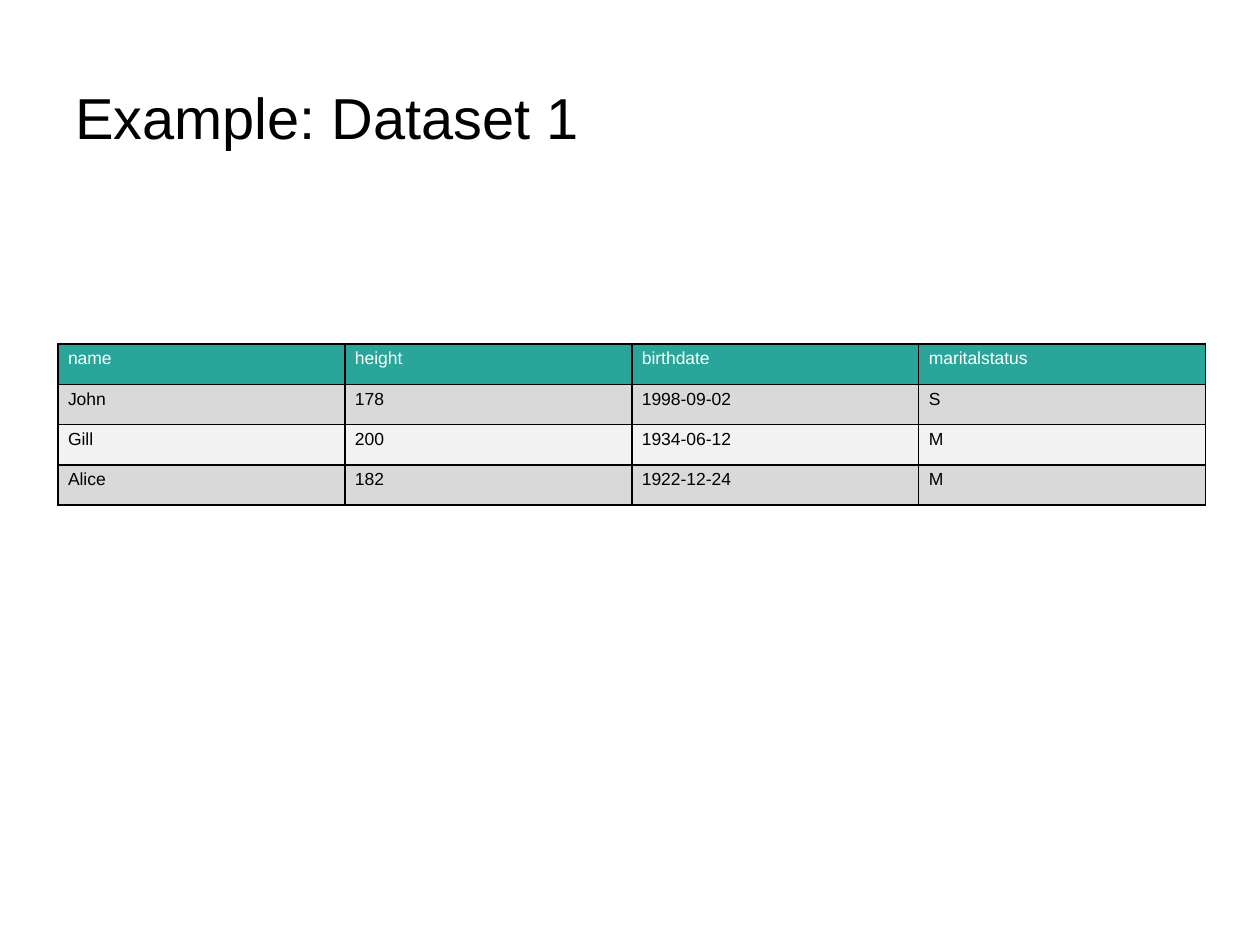
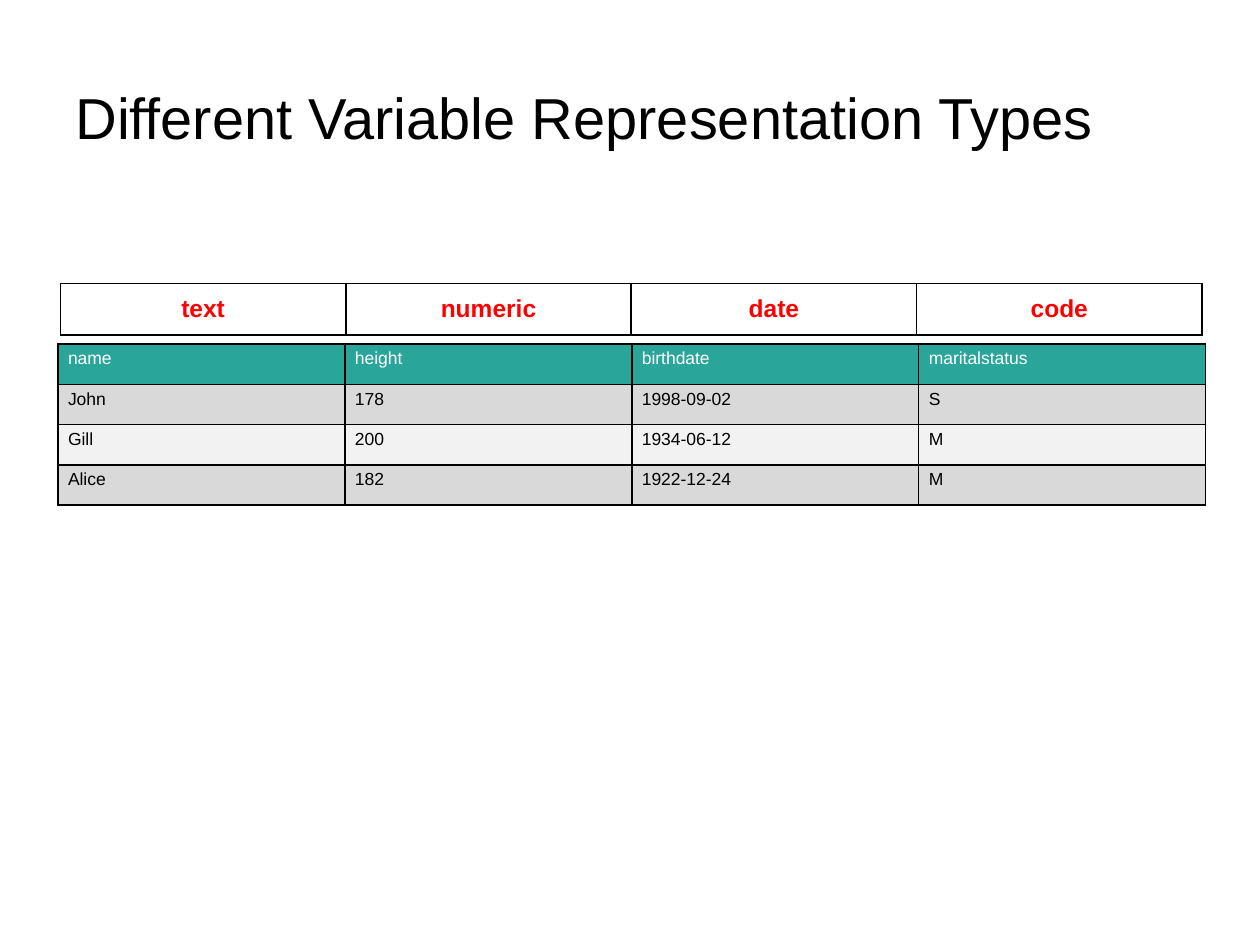
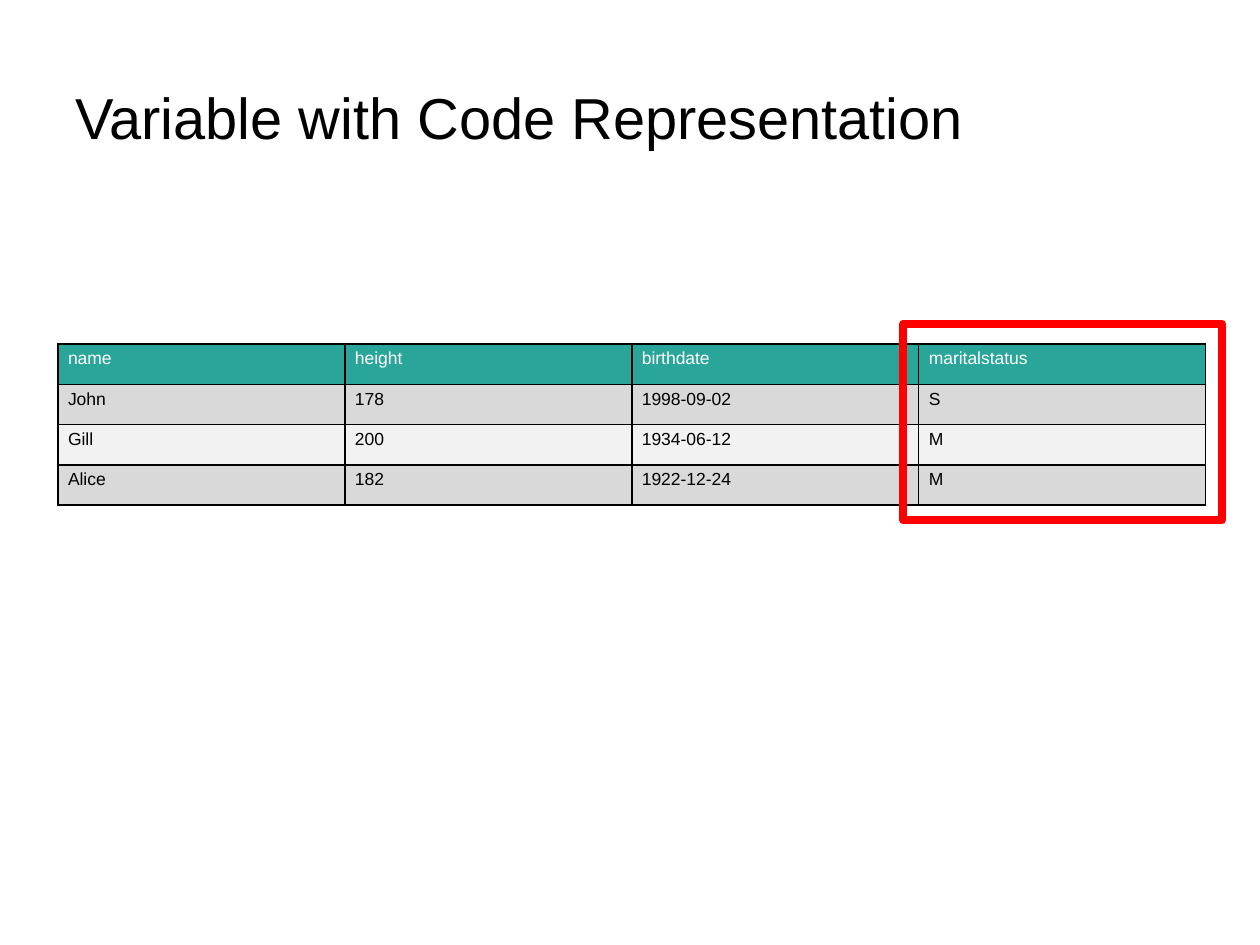
import dataclasses

import lxml.etree
import pptx
import pptx.dml.color
import pptx.enum.shapes
import pptx.enum.text
import pptx.oxml.ns
import pptx.util

Inches = pptx.util.Inches
Pt = pptx.util.Pt
Anchor = pptx.enum.text.MSO_ANCHOR
Align = pptx.enum.text.PP_ALIGN


@dataclasses.dataclass(frozen=True)
class Theme:
    font: str = "Arial"
    ink: str = "000000"
    paper: str = "FFFFFF"
    header: str = "29A599"
    bands: tuple = ("D9D9D9", "F2F2F2")
    accent: str = "FF0000"
    title_size: float = 33
    label_size: float = 14
    cell_size: float = 10
    grid_width: float = 1
    frame_width: float = 4.5


def rgb(color):
    return pptx.dml.color.RGBColor.from_string(color)


class Deck:
    def __init__(self, theme):
        self.theme = theme
        self.presentation = pptx.Presentation()
        self.presentation.slide_width = Inches(10)
        self.presentation.slide_height = Inches(7.5)
        self.slide = None

    def add_slide(self, title):
        blank = self.presentation.slide_layouts[6]
        self.slide = self.presentation.slides.add_slide(blank)
        self.slide.background.fill.solid()
        self.slide.background.fill.fore_color.rgb = rgb(self.theme.paper)
        self.title(title)

    def style(self, paragraph, size, color, bold=False):
        paragraph.font.name = self.theme.font
        paragraph.font.size = Pt(size)
        paragraph.font.color.rgb = rgb(color)
        paragraph.font.bold = bold

    def title(self, text):
        heading = self.slide.shapes.add_textbox(
            Inches(0.5), Inches(0.3), Inches(9), Inches(1.25)).text_frame
        heading.word_wrap = True
        heading.vertical_anchor = Anchor.MIDDLE
        heading.text = text
        self.style(heading.paragraphs[0], self.theme.title_size, self.theme.ink)

    def grid(self, left, top, width, height, rows):
        table = self.slide.shapes.add_table(
            len(rows), len(rows[0]), Inches(left), Inches(top),
            Inches(width), Inches(height)).table
        table.first_row = False
        table.horz_banding = False
        for table_row, values in zip(table.rows, rows):
            for cell, value in zip(table_row.cells, values):
                cell.text = value
                self.border(cell)
        return table

    def border(self, cell):
        properties = cell._tc.get_or_add_tcPr()
        qn = pptx.oxml.ns.qn
        for side in ("a:lnL", "a:lnR", "a:lnT", "a:lnB"):
            line = lxml.etree.SubElement(
                properties, qn(side), w=str(Pt(self.theme.grid_width)))
            paint = lxml.etree.SubElement(line, qn("a:solidFill"))
            lxml.etree.SubElement(paint, qn("a:srgbClr"), val=self.theme.ink)

    def dataset(self, records):
        table = self.grid(0.46, 2.73, 9.11, 1.28, records)
        for index, record in enumerate(table.rows):
            if index == 0:
                fill, color = self.theme.header, self.theme.paper
            else:
                fill, color = self.theme.bands[(index - 1) % 2], self.theme.ink
            for cell in record.cells:
                cell.margin_left = cell.margin_right = Inches(0.08)
                cell.margin_top = cell.margin_bottom = Inches(0.04)
                cell.fill.solid()
                cell.fill.fore_color.rgb = rgb(fill)
                self.style(cell.text_frame.paragraphs[0],
                           self.theme.cell_size, color)

    def type_labels(self, labels):
        for cell in self.grid(0.48, 2.25, 9.06, 0.41, [labels]).iter_cells():
            cell.fill.background()
            cell.vertical_anchor = Anchor.MIDDLE
            label = cell.text_frame.paragraphs[0]
            label.alignment = Align.CENTER
            self.style(label, self.theme.label_size, self.theme.accent, bold=True)

    def highlight(self, left, top, width, height):
        frame = self.slide.shapes.add_shape(
            pptx.enum.shapes.MSO_SHAPE.RECTANGLE,
            Inches(left), Inches(top), Inches(width), Inches(height))
        frame.shadow.inherit = False
        frame.fill.background()
        frame.line.color.rgb = rgb(self.theme.accent)
        frame.line.width = Pt(self.theme.frame_width)


PEOPLE = [
    ("name", "height", "birthdate", "maritalstatus"),
    ("John", "178", "1998-09-02", "S"),
    ("Gill", "200", "1934-06-12", "M"),
    ("Alice", "182", "1922-12-24", "M"),
]

deck = Deck(Theme())

deck.add_slide("Example: Dataset 1")
deck.dataset(PEOPLE)

deck.add_slide("Different Variable Representation Types")
deck.dataset(PEOPLE)
deck.type_labels(("text", "numeric", "date", "code"))

deck.add_slide("Variable with Code Representation")
deck.dataset(PEOPLE)
deck.highlight(7.17, 2.57, 2.53, 1.56)

deck.presentation.save("out.pptx")
